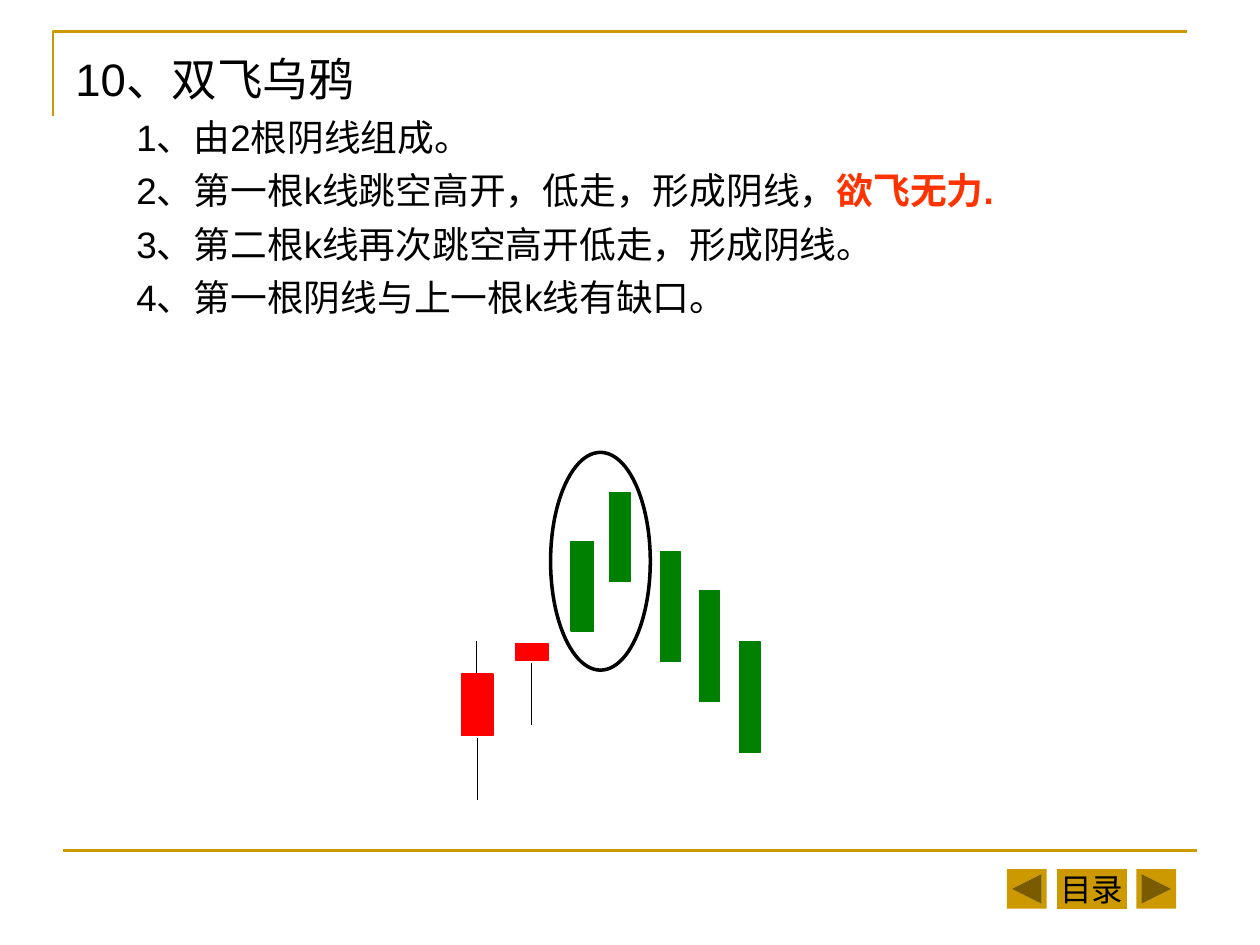
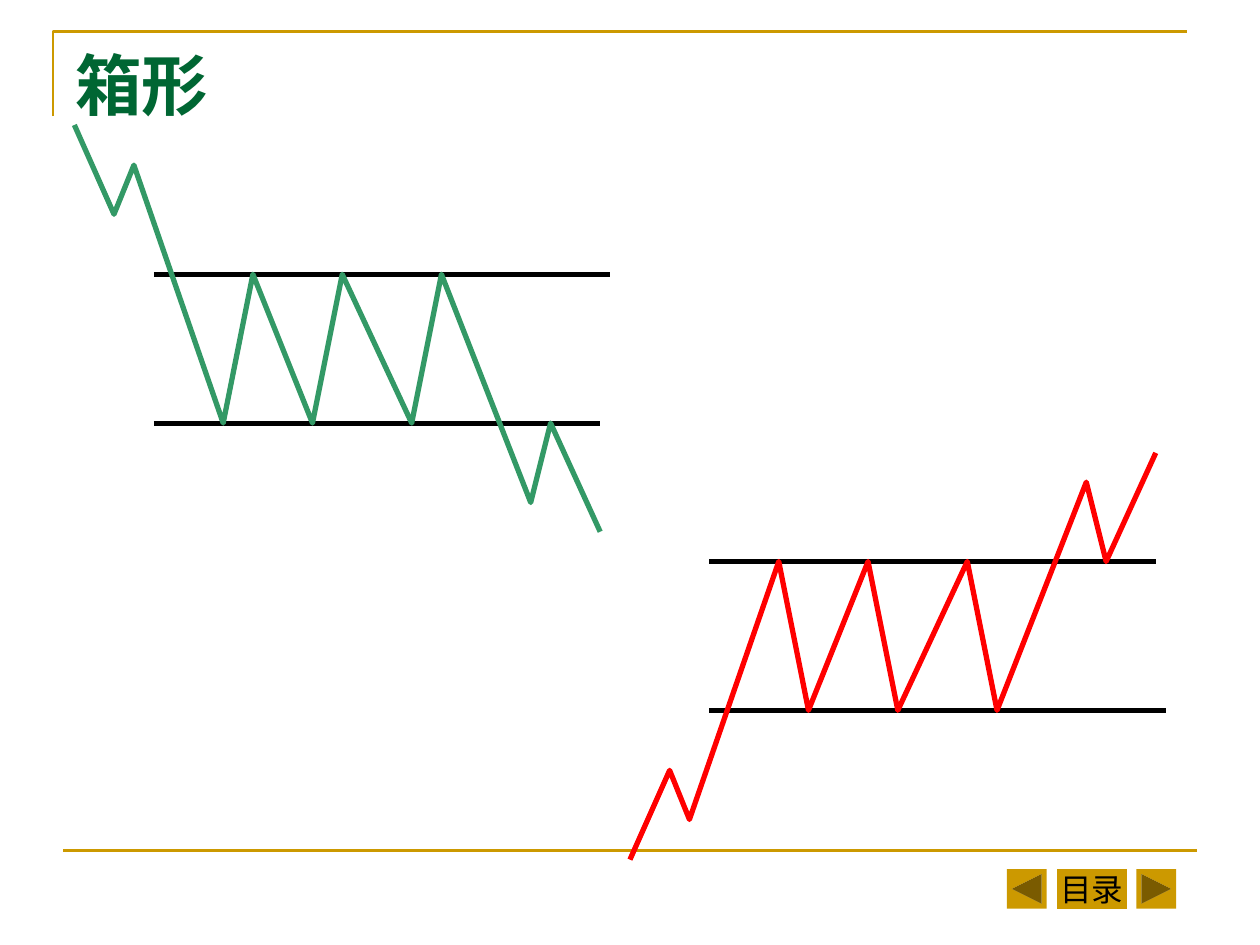
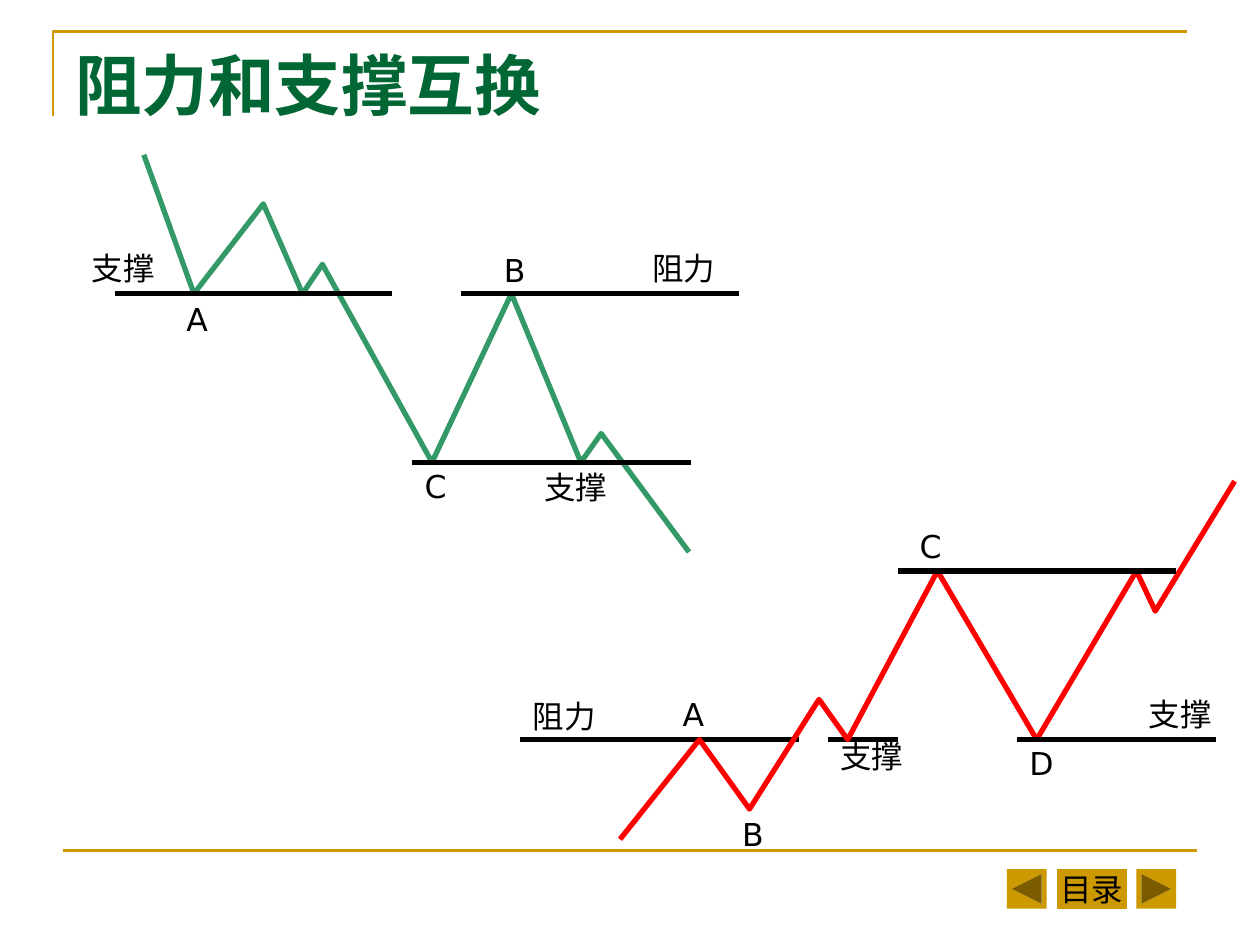
from pptx import Presentation
from pptx.dml.color import RGBColor
from pptx.enum.shapes import MSO_CONNECTOR, MSO_SHAPE
from pptx.enum.text import MSO_ANCHOR, PP_ALIGN
from pptx.oxml.ns import qn
from pptx.util import Cm, Pt

GOLD = RGBColor(0xCC, 0x99, 0x00)
TITLE_GREEN = RGBColor(0x00, 0x66, 0x33)
FALL_GREEN = RGBColor(0x33, 0x99, 0x66)
CANDLE_GREEN = RGBColor(0x00, 0x80, 0x00)
RED = RGBColor(0xFF, 0x00, 0x00)
ORANGE_RED = RGBColor(0xFF, 0x33, 0x00)
BLACK = RGBColor(0x00, 0x00, 0x00)

BODY_FONT = "Arial"
TITLE_FONT = "Times New Roman"
LABEL_FONT = "DejaVu Sans"

LABEL_WIDTH = 2.18
LABEL_HEIGHT = 1.02


def add_run(paragraph, text, font, size, color=BLACK, bold=False):
    run = paragraph.add_run()
    run.text = text
    run.font.name = font
    run.font.size = Pt(size)
    run.font.bold = bold
    run.font.color.rgb = color


def add_text_box(slide, left, top, width, height):
    box = slide.shapes.add_textbox(Cm(left), Cm(top), Cm(width), Cm(height))
    box.text_frame.word_wrap = True
    return box.text_frame


def add_line(slide, start, end, color=BLACK, width=3):
    line = slide.shapes.add_connector(
        MSO_CONNECTOR.STRAIGHT, *(Cm(value) for value in (*start, *end)))
    line.line.color.rgb = color
    line.line.width = Pt(width)
    properties = line._element.spPr
    properties.append(properties.makeelement(qn("a:effectLst"), {}))


def add_polyline(slide, points, color, width=3):
    (first, *rest) = [(Cm(x), Cm(y)) for x, y in points]
    builder = slide.shapes.build_freeform(*first)
    builder.add_line_segments(rest, close=False)
    shape = builder.convert_to_shape()
    shape.shadow.inherit = False
    shape.fill.background()
    shape.line.color.rgb = color
    shape.line.width = Pt(width)


def add_preset(slide, kind, left, top, width, height, fill=None, line=None, line_width=0.75):
    shape = slide.shapes.add_shape(kind, Cm(left), Cm(top), Cm(width), Cm(height))
    shape.shadow.inherit = False
    if fill is None:
        shape.fill.background()
    else:
        shape.fill.solid()
        shape.fill.fore_color.rgb = fill
    if line is None:
        shape.line.fill.background()
    else:
        shape.line.color.rgb = line
        shape.line.width = Pt(line_width)
    return shape


def add_levels(slide, y, *spans):
    """Draw horizontal support or resistance lines at one height."""
    for left, right in spans:
        add_line(slide, (left, y), (right, y))


def add_labels(slide, labels):
    for text, left, top, width in labels:
        frame = add_text_box(slide, left, top, width, LABEL_HEIGHT)
        add_run(frame.paragraphs[0], text, LABEL_FONT, 18)


def add_title(slide, text):
    frame = add_text_box(slide, 1.27, 0.76, 22.86, 1.65)
    add_run(frame.paragraphs[0], text, TITLE_FONT, 38, TITLE_GREEN, bold=True)


def add_framed_slide(presentation):
    """Add a blank slide with the gold corner, footer rule and navigation buttons."""
    slide = presentation.slides.add_slide(presentation.slide_layouts[6])
    add_polyline(slide, [(1.07, 2.34), (1.07, 0.64), (23.93, 0.64)], GOLD, 1.5)
    add_line(slide, (1.27, 17.15), (24.13, 17.15), GOLD, 1.5)

    contents = add_preset(slide, MSO_SHAPE.ACTION_BUTTON_CUSTOM, 21.31, 17.52, 1.4, 0.8, GOLD)
    frame = contents.text_frame
    frame.word_wrap = False
    frame.vertical_anchor = MSO_ANCHOR.MIDDLE
    frame.paragraphs[0].alignment = PP_ALIGN.CENTER
    add_run(frame.paragraphs[0], "目录", BODY_FONT, 18)
    add_preset(slide, MSO_SHAPE.ACTION_BUTTON_BACK_OR_PREVIOUS, 20.3, 17.52, 0.8, 0.8, GOLD)
    add_preset(slide, MSO_SHAPE.ACTION_BUTTON_FORWARD_OR_NEXT, 22.91, 17.52, 0.8, 0.8, GOLD)
    return slide


def add_crows_text(slide):
    frame = add_text_box(slide, 1.27, 0.91, 22.86, 16.1)
    add_run(frame.paragraphs[0], "10、双飞乌鸦", BODY_FONT, 26)
    rules = [
        ("1、由2根阴线组成。", ""),
        ("2、第一根k线跳空高开，低走，形成阴线，", "欲飞无力."),
        ("3、第二根k线再次跳空高开低走，形成阴线。", ""),
        ("4、第一根阴线与上一根k线有缺口。", ""),
    ]
    for text, emphasis in rules:
        paragraph = frame.add_paragraph()
        paragraph.space_before = Pt(5.2)
        paragraph._p.get_or_add_pPr().set("marL", str(Cm(1.23)))
        add_run(paragraph, text, BODY_FONT, 21)
        if emphasis:
            add_run(paragraph, emphasis, BODY_FONT, 21, ORANGE_RED, bold=True)


def build_crows_slide(presentation):
    slide = add_framed_slide(presentation)
    add_crows_text(slide)
    add_preset(slide, MSO_SHAPE.OVAL, 11.1, 9.12, 2.01, 4.39, line=BLACK, line_width=2)
    candles = [
        (9.3, 13.59, 0.64, 1.24, RED),
        (10.39, 12.98, 0.66, 0.33, RED),
        (11.51, 10.92, 0.46, 1.8, CANDLE_GREEN),
        (12.29, 9.93, 0.41, 1.8, CANDLE_GREEN),
        (13.31, 11.13, 0.41, 2.21, CANDLE_GREEN),
        (14.1, 11.91, 0.41, 2.24, CANDLE_GREEN),
        (14.91, 12.93, 0.41, 2.24, CANDLE_GREEN),
    ]
    for left, top, width, height, color in candles:
        add_preset(slide, MSO_SHAPE.RECTANGLE, left, top, width, height, color, color)
    for x, top, bottom in [(9.6, 12.93, 13.56), (9.63, 14.88, 16.13), (10.72, 13.36, 14.61)]:
        add_line(slide, (x, top), (x, bottom), width=0.75)


def build_box_slide(presentation):
    slide = add_framed_slide(presentation)
    add_title(slide, "箱形")
    left, upper, lower = 3.1, 5.53, 8.53
    prices = [
        (1.5, 2.52), (2.3, 4.32), (2.7, 3.33), (4.5, lower), (5.1, upper), (6.3, lower),
        (6.9, upper), (8.3, lower), (8.9, upper), (10.7, 10.13), (11.1, lower), (12.1, 10.72),
    ]

    def place_rising(x, y):
        """Flip a point of the falling box upside down and move it right."""
        return x + 11.2, 19.85 - y

    def place_falling(x, y):
        return x, y

    for place, color in [(place_falling, FALL_GREEN), (place_rising, RED)]:
        for right, level in [(12.1, lower), (12.3, upper)]:
            add_line(slide, place(left, level), place(right, level))
        add_polyline(slide, [place(x, y) for x, y in prices], color)


def add_falling_swap(slide):
    upper, lower = 5.92, 9.32
    add_polyline(slide, [
        (2.9, 3.12), (3.91, upper), (5.31, 4.11), (6.1, upper), (6.5, 5.33),
        (8.71, lower), (10.31, upper), (11.71, lower), (12.12, 8.74), (13.89, 11.13),
    ], FALL_GREEN)
    add_levels(slide, upper, (2.31, 7.9), (9.3, 14.9))
    add_levels(slide, lower, (8.31, 13.92))
    add_labels(slide, [
        ("支撑", 1.6, 4.9, LABEL_WIDTH),
        ("A", 3.51, 5.92, 1),
        ("C", 8.31, 9.3, 1.2),
        ("阻力", 12.9, 4.9, LABEL_WIDTH),
        ("支撑", 10.72, 9.32, LABEL_WIDTH),
        ("B", 9.91, 4.93, LABEL_WIDTH),
    ])


def add_rising_swap(slide):
    upper, lower = 11.51, 14.91
    add_levels(slide, lower, (10.49, 16.1), (16.69, 18.11))
    add_polyline(slide, [
        (12.5, 16.92), (14.1, lower), (15.11, 16.31), (16.51, 14.1), (17.09, lower),
        (18.9, upper), (20.9, lower), (22.91, upper), (23.29, 12.32), (24.89, 9.7),
    ], RED)
    add_levels(slide, lower, (20.5, 24.51))
    add_levels(slide, upper, (18.11, 23.7))
    add_labels(slide, [
        ("支撑", 22.91, 13.89, LABEL_WIDTH),
        ("D", 20.5, 14.88, LABEL_WIDTH),
        ("C", 18.29, 10.49, LABEL_WIDTH),
        ("支撑", 16.69, 14.73, 1.8),
        ("阻力", 10.49, 13.92, LABEL_WIDTH),
        ("B", 14.71, 16.31, LABEL_WIDTH),
        ("A", 13.51, 13.89, 1),
    ])


def build_swap_slide(presentation):
    slide = add_framed_slide(presentation)
    add_title(slide, "阻力和支撑互换")
    add_falling_swap(slide)
    add_rising_swap(slide)


def main():
    presentation = Presentation()
    presentation.slide_width = Cm(25.4)
    presentation.slide_height = Cm(19.05)
    build_crows_slide(presentation)
    build_box_slide(presentation)
    build_swap_slide(presentation)
    presentation.save("out.pptx")


if __name__ == "__main__":
    main()
